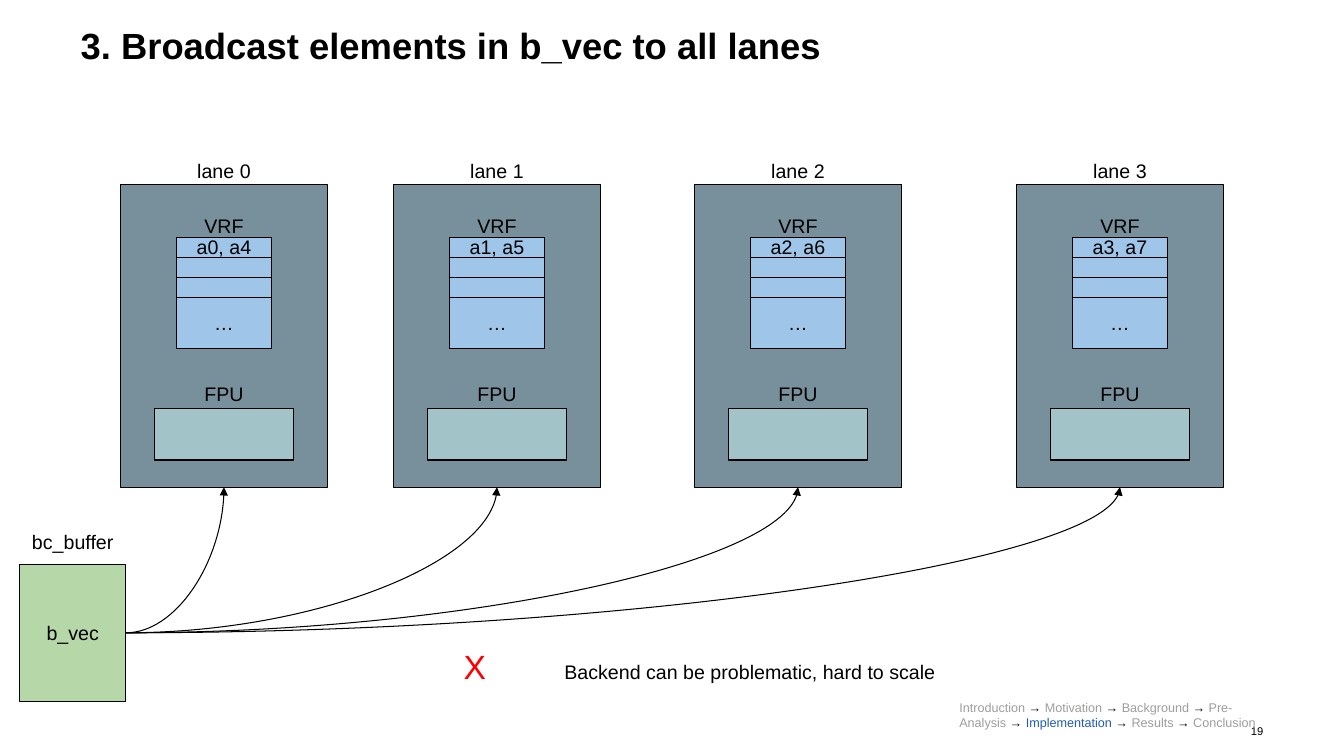
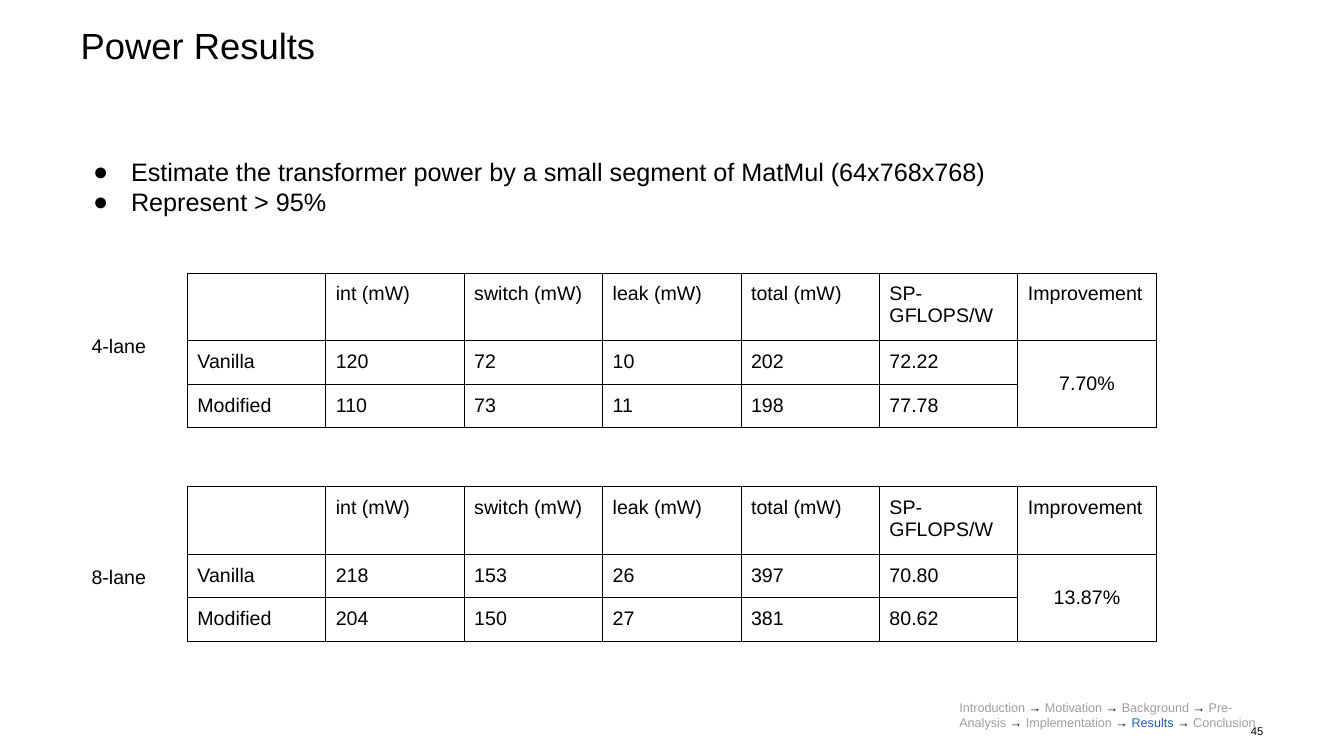
from lxml.etree import SubElement
from pptx import Presentation
from pptx.dml.color import RGBColor
from pptx.enum.shapes import MSO_CONNECTOR as Link, MSO_SHAPE as Form
from pptx.enum.text import MSO_ANCHOR as Anchor, MSO_AUTO_SIZE as Fit, PP_ALIGN as Align
from pptx.oxml.ns import qn
from pptx.util import Pt

COLORS = {
    "ink": "000000", "gray": "9E9E9E", "blue": "215CAF", "red": "FF0000",
    "lane": "78909C", "reg": "9FC5E8", "fpu": "A2C4C9", "buffer": "B6D7A8",
}
STEPS = ["Introduction", "Motivation", "Background", "Pre-Analysis",
         "Implementation", "Results", "Conclusion"]
SIDES = ("left", "top", "right", "bottom")
BOTTOM, RIGHT = 2, 3
LINE = 0.75


def color(name):
    return RGBColor.from_string(COLORS[name])


def assign(target, values):
    for name, value in values.items():
        setattr(target, name, value)


class Deck:
    """Holds the style and the current slide; lengths are in points."""

    def __init__(self):
        self.show = Presentation()
        assign(self.show, {"slide_width": Pt(960), "slide_height": Pt(540)})

    def begin(self, layout, title, step, number, bold=False):
        """Add a slide with its title, progress trail and page number."""
        self.slide = self.show.slides.add_slide(self.show.slide_layouts[layout])
        self.shapes = self.slide.shapes
        head = self.shapes.title
        self.place(head, 57.6, 20, 844.8, 70.6)
        self.letter(head.text_frame, [(title, "ink", 26)], inset=0, bold=bold)
        head.text_frame.paragraphs[0].line_spacing = 0.9
        trail = []
        for name in STEPS:
            if trail:
                trail.append((" → ", "ink", 9))
            trail.append((name, "blue" if name == step else "gray", 9))
        self.label(trail, 678.2, 492.5, 232, 47.5)
        self.label([(number, "ink", 8)], 877, 513.4, 25.4, 17.2,
                   align=Align.RIGHT, anchor=Anchor.MIDDLE, inset=0)

    def place(self, shape, x, y, w, h):
        assign(shape, {"left": Pt(x), "top": Pt(y), "width": Pt(w), "height": Pt(h)})

    def piece(self, para, text, tint="ink", size=14, bold=False):
        part = para.add_run()
        part.text = text
        assign(part.font, {"name": "Arial", "size": Pt(size), "bold": bold})
        part.font.color.rgb = color(tint)

    def frame(self, frame, anchor=Anchor.TOP, inset=7.2):
        assign(frame, {"word_wrap": True, "auto_size": Fit.NONE, "vertical_anchor": anchor})
        assign(frame, {"margin_" + side: Pt(inset) for side in SIDES})

    def letter(self, frame, runs, align=Align.LEFT, anchor=Anchor.TOP, inset=7.2, bold=False):
        """Set one paragraph of (text, colour, size) runs."""
        self.frame(frame, anchor, inset)
        para = frame.paragraphs[0]
        para.alignment = align
        for item in runs:
            self.piece(para, *item, bold=bold)

    def label(self, runs, x, y, w, h=31.6, group=None, **style):
        box = (group or self).shapes.add_textbox(Pt(x), Pt(y), Pt(w), Pt(h))
        self.letter(box.text_frame, runs, **style)
        return box

    def rect(self, fill, x, y, w, h, text="", group=None):
        box = (group or self).shapes.add_shape(Form.RECTANGLE, Pt(x), Pt(y), Pt(w), Pt(h))
        box.shadow.inherit = False
        box.fill.solid()
        box.fill.fore_color.rgb = color(fill)
        box.line.width = Pt(LINE)
        box.line.color.rgb = color("ink")
        if text:
            self.letter(box.text_frame, [(text,)], Align.CENTER, Anchor.MIDDLE, 0)
        return box

    def curve(self, start, end):
        """Draw a curved arrow from a right side to a bottom side."""
        link = self.shapes.add_connector(Link.CURVE, 0, 0, 0, 0)
        link.begin_connect(start, RIGHT)
        link.end_connect(end, BOTTOM)
        link.line.width = Pt(LINE)
        link.line.color.rgb = color("ink")
        props = link._element.spPr
        props.find(qn("a:prstGeom")).set("prst", "curvedConnector2")
        SubElement(props.find(qn("a:ln")), qn("a:tailEnd"), type="triangle")
        SubElement(props, qn("a:effectLst"))

    def bullets(self, lines, x, y, w, h):
        body = self.slide.placeholders[1]
        self.place(body, x, y, w, h)
        self.frame(body.text_frame, inset=0)
        for i, line in enumerate(lines):
            para = body.text_frame.add_paragraph() if i else body.text_frame.paragraphs[0]
            props = para._p.get_or_add_pPr()
            assign(para, {"space_before": Pt(0), "alignment": Align.LEFT})
            props.set("marL", str(Pt(36)))
            props.set("indent", str(Pt(-27)))
            tint = SubElement(props, qn("a:buClr"))
            SubElement(tint, qn("a:srgbClr"), val=COLORS["ink"])
            SubElement(props, qn("a:buFont"), typeface="Arial")
            SubElement(props, qn("a:buChar"), char="●")
            self.piece(para, line, size=18)

    def border(self, cell):
        props = cell._tc.get_or_add_tcPr()
        for side in "LRTB":
            line = SubElement(props, qn("a:ln" + side), w=str(Pt(LINE)))
            fill = SubElement(line, qn("a:solidFill"))
            SubElement(fill, qn("a:srgbClr"), val=COLORS["ink"])

    def table(self, rows, x, y, width, heights):
        """Draw a grid whose last column is merged below the header."""
        last = len(rows[0]) - 1
        grid = self.shapes.add_table(len(rows), last + 1, Pt(x), Pt(y),
                                     Pt(width * (last + 1)), Pt(sum(heights))).table
        assign(grid, {"first_row": False, "horz_banding": False})
        for col in grid.columns:
            col.width = Pt(width)
        for r, row in enumerate(rows):
            grid.rows[r].height = Pt(heights[r])
            for c, text in enumerate(row):
                cell = grid.cell(r, c)
                self.border(cell)
                cell.fill.background()
                assign(cell, {"margin_" + side: Pt(7.2) for side in SIDES})
                if text:
                    self.piece(cell.text_frame.paragraphs[0], text)
        gain = grid.cell(1, last)
        gain.merge(grid.cell(len(rows) - 1, last))
        gain.vertical_anchor = Anchor.MIDDLE
        gain.text_frame.paragraphs[0].alignment = Align.CENTER


def lane(deck, index, mid):
    """Draw one lane around its middle and return its outer box."""
    group = deck.shapes.add_group_shape()

    def block(fill, y, w, h, text=""):
        return deck.rect(fill, mid - w / 2, y, w, h, text, group)

    outer = block("lane", 132, 148, 216)
    for i, text in enumerate([f"a{index}, a{index + 4}", "", ""]):
        block("reg", 169.4 + 14.3 * i, 68, 14.3, text)
    block("reg", 212.3, 68, 37, "…")
    block("fpu", 291.6, 99, 37)
    for text, y in ((f"lane {index}", 106.6), ("VRF", 145.4), ("FPU", 265.8)):
        deck.label([(text,)], mid - 30, y, 60, group=group, align=Align.CENTER)
    return outer


def broadcast(deck):
    deck.begin(5, "3. Broadcast elements in b_vec to all lanes",
               "Implementation", "19", bold=True)
    note = deck.label([("X", "red", 24), ("\tBackend can be problematic, hard to scale",)],
                      324, 454.4, 358, 44)
    props = note.text_frame.paragraphs[0]._p.get_or_add_pPr()
    SubElement(SubElement(props, qn("a:tabLst")), qn("a:tab"), pos=str(Pt(72)), algn="l")
    buffer = deck.rect("buffer", 14, 403, 76, 98, "b_vec")
    deck.label([("bc_buffer",)], 9, 371.6, 86, align=Align.CENTER)
    for index, mid in enumerate((160, 355, 570, 800)):
        deck.curve(buffer, lane(deck, index, mid))


def power(deck):
    deck.begin(1, "Power Results", "Results", "45")
    deck.bullets(["Estimate the transformer power by a small segment of MatMul (64x768x768)",
                  "Represent > 95%"], 57.6, 111.6, 844.8, 54)
    header = ["", "int (mW)", "switch (mW)", "leak (mW)", "total (mW)",
              "SP-GFLOPS/W", "Improvement"]
    results = [
        ("4-lane", 195, 231.4, ["Vanilla", "120", "72", "10", "202", "72.22", "7.70%"],
         ["Modified", "110", "73", "11", "198", "77.78", ""]),
        ("8-lane", 347.6, 396, ["Vanilla", "218", "153", "26", "397", "70.80", "13.87%"],
         ["Modified", "204", "150", "27", "381", "80.62", ""]),
    ]
    for name, top, mark, *rows in results:
        deck.table([header, *rows], 133.8, top, 98.9, [48.2, 31.2, 31.2])
        deck.label([(name,)], 58.3, mark, 65.5)


def main():
    deck = Deck()
    broadcast(deck)
    power(deck)
    deck.show.save("out.pptx")


if __name__ == "__main__":
    main()
